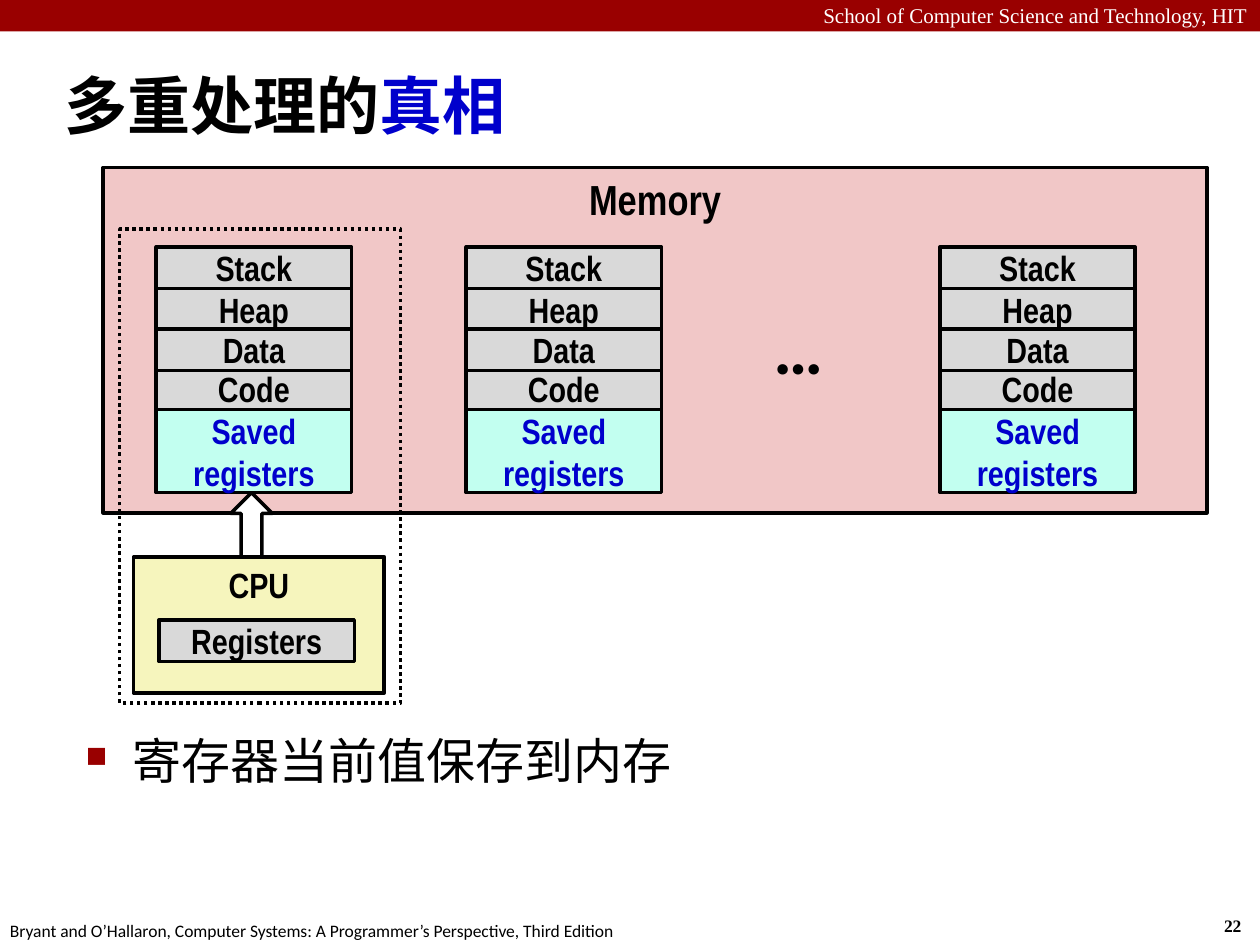
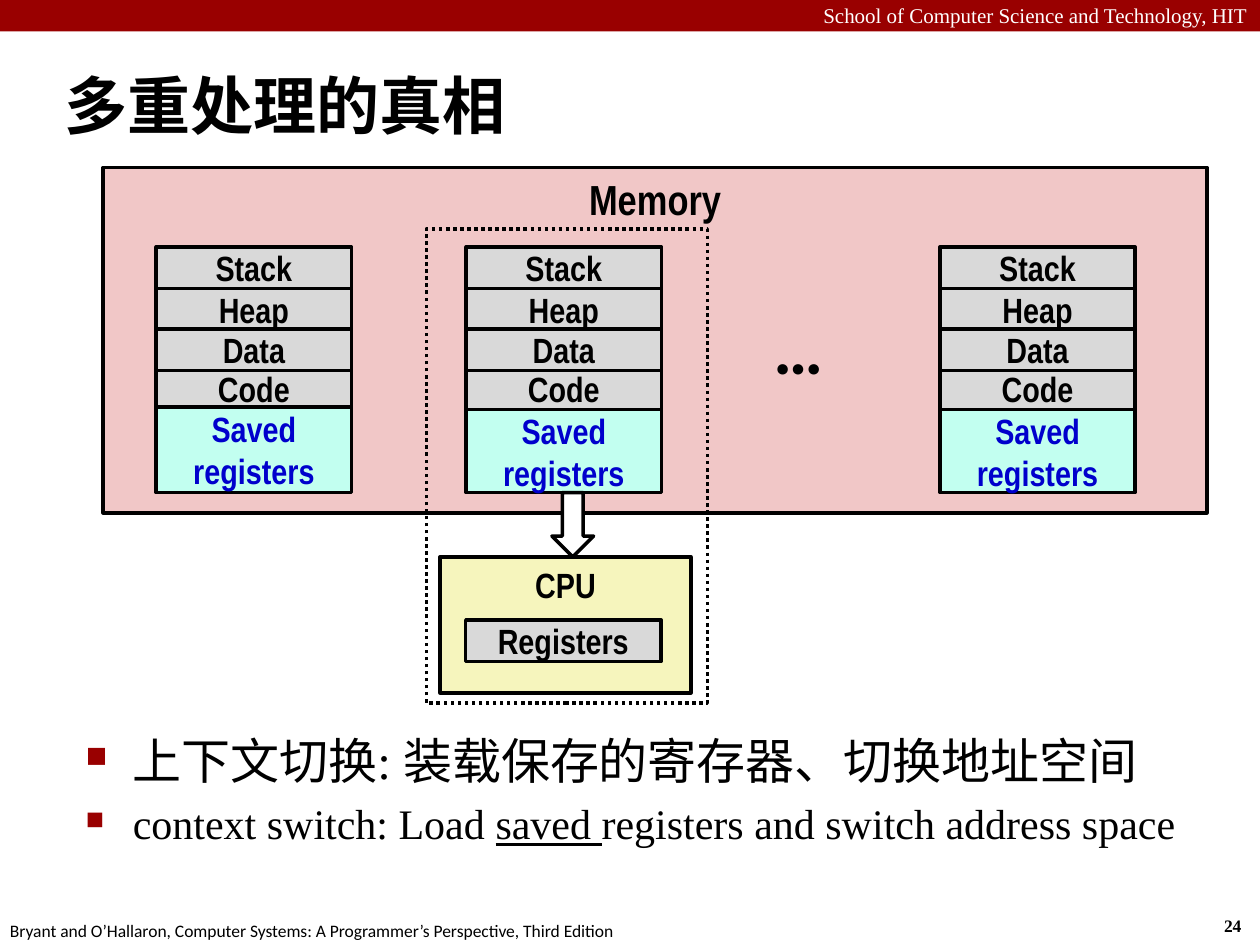
"""Builds two slides on how one CPU shares its registers among processes."""
from dataclasses import dataclass

from lxml import etree
from pptx import Presentation
from pptx import util as u
from pptx.dml.color import RGBColor
from pptx.enum import dml, shapes, text
from pptx.oxml.ns import qn

Pt = u.Pt


@dataclass(frozen=True)
class Theme:
    black: str = "000000"
    white: str = "FFFFFF"
    red: str = "990000"
    blue: str = "0000CC"
    memory: str = "F1C7C7"
    cpu: str = "F6F5BD"
    segment: str = "D9D9D9"
    saved: str = "C2FFF0"
    serif: str = "Times New Roman"
    sans: str = "Calibri"
    narrow: str = "Arial Narrow"
    title_size: int = 36
    cjk_size: int = 28
    body_size: int = 24
    memory_size: int = 24
    label_size: int = 20
    ellipsis_size: int = 40
    header_size: int = 12
    footer_size: int = 10
    line_width: int = 2


COLUMNS = (89.3, 266.4, 537.1)
SEGMENTS = (("Stack", 141.1), ("Heap", 164.9), ("Code", 210.2), ("Data", 187.9))
SEGMENT_W, SEGMENT_H = 111.6, 23.8
SAVED_TOP, SAVED_BOTTOM = 234, 281.5


def write(p, content, *, size, font, color, bold=False, underline=False):
    r = p.add_run()
    r.text = content
    r.font.size = Pt(size)
    r.font.name = font
    r.font.color.rgb = RGBColor.from_string(color)
    r.font.bold = bold
    r.font.underline = underline


class Deck:
    def __init__(self, theme):
        self.t = theme
        self.prs = Presentation()
        self.prs.slide_width, self.prs.slide_height = Pt(720), Pt(540)
        self.s = None

    def slide(self, number):
        t = self.t
        self.s = self.prs.slides.add_slide(self.prs.slide_layouts[6])
        self.shape((0, 0, 720, 18), t.red, line=None)
        p = self.textbox((0, -2.2, 720, 21.6)).paragraphs[0]
        p.alignment = text.PP_ALIGN.RIGHT
        write(p, "School of Computer Science and Technology, HIT",
              size=t.header_size, font=t.serif, color=t.white)
        p = self.textbox((692.4, 519.1, 26.6, 19.4), wrap=False).paragraphs[0]
        write(p, str(number), size=t.footer_size, font=t.serif, color=t.black, bold=True)
        p = self.textbox((-1.4, 522, 365.8, 19.4), wrap=False).paragraphs[0]
        write(p, "Bryant and O’Hallaron, Computer Systems: A Programmer’s Perspective, Third Edition",
              size=t.footer_size, font=t.sans, color=t.black)

    def textbox(self, at, wrap=True):
        tf = self.s.shapes.add_textbox(*map(Pt, at)).text_frame
        tf.word_wrap = wrap
        return tf

    def shape(self, at, fill, line="000000", kind=shapes.MSO_SHAPE.RECTANGLE):
        sp = self.s.shapes.add_shape(kind, *map(Pt, at))
        sp.shadow.inherit = False
        if fill:
            sp.fill.solid()
            sp.fill.fore_color.rgb = RGBColor.from_string(fill)
        else:
            sp.fill.background()
        if line:
            sp.line.color.rgb = RGBColor.from_string(line)
            sp.line.width = Pt(self.t.line_width)
        else:
            sp.line.fill.background()
        return sp

    def box(self, at, fill, label, size=None, color=None, top=False):
        tf = self.shape(at, fill).text_frame
        tf.word_wrap = True
        tf.vertical_anchor = text.MSO_ANCHOR.TOP if top else text.MSO_ANCHOR.MIDDLE
        p = tf.paragraphs[0]
        p.alignment = text.PP_ALIGN.CENTER
        write(p, label, size=size or self.t.label_size, font=self.t.narrow,
              color=color or self.t.black, bold=True)

    def title(self, *runs):
        tf = self.textbox((29.5, 29.5, 684.7, 59.8))
        tf.vertical_anchor = text.MSO_ANCHOR.MIDDLE
        for content, color in runs:
            write(tf.paragraphs[0], content, size=self.t.title_size,
                  font=self.t.sans, color=color, bold=True)

    def bullets(self, height, *items):
        tf = self.textbox((41.8, 414, 671.8, height))
        for i, (size, runs) in enumerate(items):
            p = tf.add_paragraph() if i else tf.paragraphs[0]
            if i:
                p.space_before = Pt(size * 0.2)
            self.bullet(p)
            for content, underline in runs:
                write(p, content, size=size, font=self.t.serif,
                      color=self.t.black, underline=underline)

    def bullet(self, p):
        pPr = p._p.get_or_add_pPr()
        pPr.set("marL", str(Pt(27)))
        pPr.set("indent", str(-Pt(27)))
        color = etree.SubElement(pPr, qn("a:buClr"))
        etree.SubElement(color, qn("a:srgbClr"), val=self.t.red)
        etree.SubElement(pPr, qn("a:buSzPct"), val="60000")
        etree.SubElement(pPr, qn("a:buChar"), char="■")

    def process(self, left, saved_top=SAVED_TOP):
        t = self.t
        for label, top in SEGMENTS:
            self.box((left, top, SEGMENT_W, SEGMENT_H), t.segment, label)
        self.box((left, saved_top, SEGMENT_W, SAVED_BOTTOM - saved_top),
                 t.saved, "Saved registers", color=t.blue)

    def multiprocessing(self, active_left, arrow_left, saved_tops, loading):
        t = self.t
        self.box((active_left + 7.9, 318.2, 143.3, 77.8), t.cpu, "CPU", top=True)
        self.box((active_left + 22.5, 354.2, SEGMENT_W, SEGMENT_H), t.segment, "Registers")
        self.box((59, 95.8, 630.7, 197.3), t.memory, "Memory", size=t.memory_size, top=True)
        for left, saved_top in zip(COLUMNS, saved_tops):
            self.process(left, saved_top)
        frame = self.shape((active_left, 131, 160.6, 270.7), None)
        frame.line.dash_style = dml.MSO_LINE.ROUND_DOT
        p = self.textbox((434.9, 170.6, 43.5, 55.4), wrap=False).paragraphs[0]
        write(p, "…", size=t.ellipsis_size, font=t.sans, color=t.black, bold=True)
        kind = shapes.MSO_SHAPE.DOWN_ARROW if loading else shapes.MSO_SHAPE.UP_ARROW
        self.shape((arrow_left, SAVED_BOTTOM, 23.8, 36.7), t.white, kind=kind)


def main():
    t = Theme()
    deck = Deck(t)

    deck.slide(22)
    deck.title(("多重处理的", t.black), ("真相", t.blue))
    deck.multiprocessing(68.4, 131.8, (SAVED_TOP,) * 3, loading=False)
    deck.bullets(41.8, (t.cjk_size, [("寄存器当前值保存到内存", False)]))

    deck.slide(24)
    deck.title(("多重处理的真相", t.black))
    deck.multiprocessing(243.6, 315.4, (232.6, SAVED_TOP, SAVED_TOP), loading=True)
    deck.bullets(
        72,
        (t.cjk_size, [("上下文切换: 装载保存的寄存器、切换地址空间", False)]),
        (t.body_size, [("context switch: Load ", False), ("saved ", True),
                       ("registers and switch address space", False)]))

    deck.prs.save("out.pptx")


if __name__ == "__main__":
    main()
